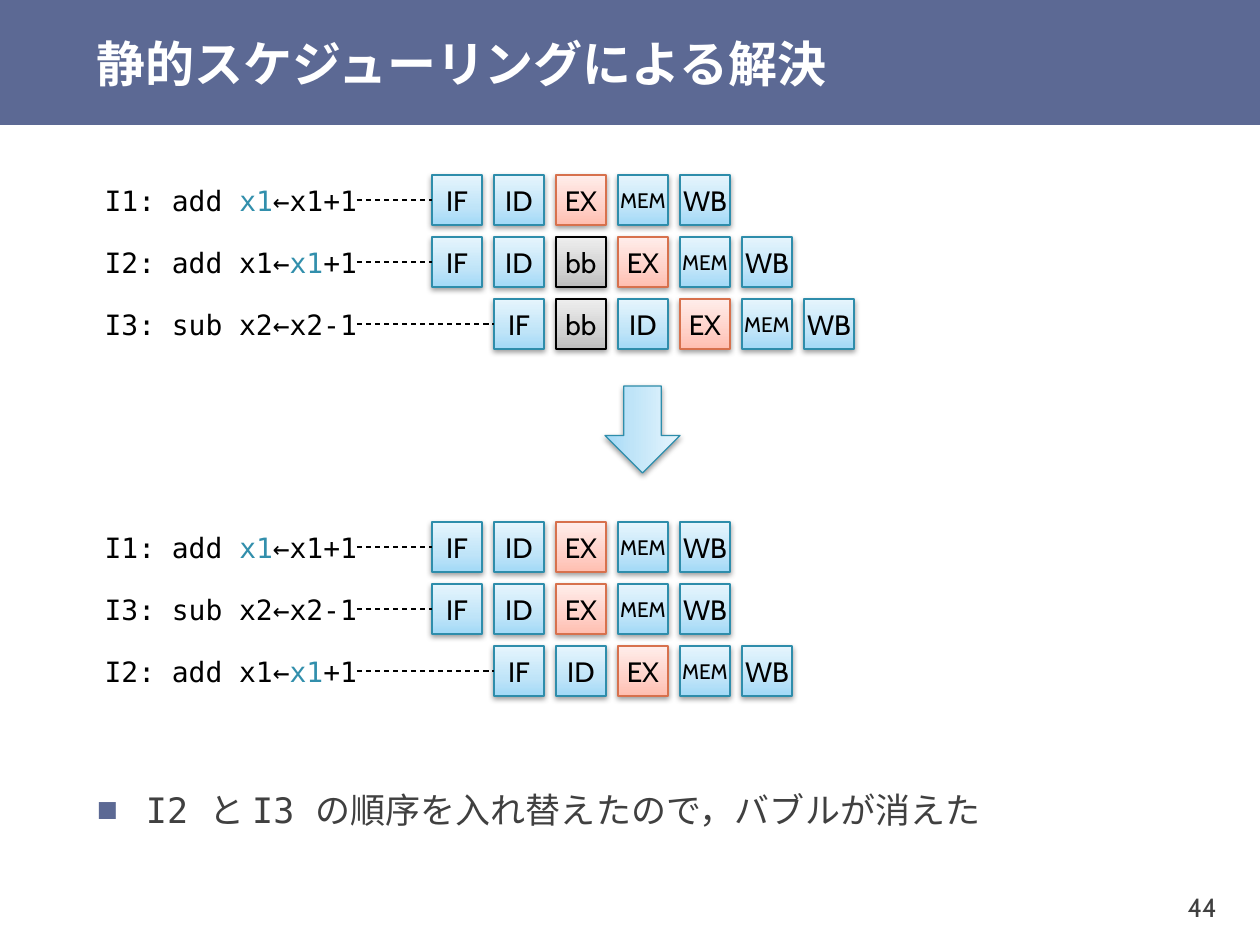
from copy import deepcopy

from pptx import Presentation
from pptx.dml.color import RGBColor
from pptx.enum.dml import MSO_LINE
from pptx.enum.shapes import MSO_CONNECTOR, MSO_SHAPE
from pptx.enum.text import MSO_ANCHOR, MSO_AUTO_SIZE, PP_ALIGN
from pptx.oxml import parse_xml
from pptx.oxml.ns import nsdecls, qn
from pptx.util import Pt

SCALE = 914400 / 126  # EMU per px
SANS, MONO = "Cabin", "DejaVu Sans Mono"

COLORS = {
    "band": "5C6994", "text": "404040", "black": "000000",
    "white": "FFFFFF", "register": "328FAC",
    "blue_line": "2E8DAB", "red_line": "D7714D",
}
# Gradient stops at 0, 35 and 100 percent, and the outline
STYLES = {
    "blue": (("A2D9F7", "BFE4F8", "E6F5FD"), "blue_line"),
    "red": (("FFBEB0", "FFD0C7", "FFEDEA"), "red_line"),
    "gray": (("BDBDBD", "D1D1D1", "EEEEEE"), "black"),
}
STAGE_STYLES = {"EX": "red", "bb": "gray"}

# Instruction grid
BOX, PITCH = 50, 62
GRID_X, LABEL_X, LABEL_W = 432, 258, 99
INSTRUCTIONS = {
    "I1": [("I1: add ", "black"), ("x1", "register"), ("←x1+1", "black")],
    "I2": [("I2: add x1←", "black"), ("x1", "register"), ("+1", "black")],
    "I3": [("I3: sub x2←x2-1", "black")],
}
# Instruction, first cycle, stages
BEFORE = [
    ("I1", 0, "IF ID EX MEM WB"),
    ("I2", 0, "IF ID bb EX MEM WB"),
    ("I3", 1, "IF bb ID EX MEM WB"),
]
AFTER = [
    ("I1", 0, "IF ID EX MEM WB"),
    ("I3", 0, "IF ID EX MEM WB"),
    ("I2", 1, "IF ID EX MEM WB"),
]


def px(n):
    return round(n * SCALE)


def rgb(name):
    return RGBColor.from_string(COLORS[name])


def set_attrs(obj, values):
    for name, value in values.items():
        setattr(obj, name, value)


def place(sp, x, y, w, h):
    set_attrs(sp, {"left": px(x), "top": px(y), "width": px(w), "height": px(h)})


def set_frame(sp, mx, my, wrap=False):
    set_attrs(sp.text_frame, {
        "auto_size": MSO_AUTO_SIZE.NONE, "word_wrap": wrap,
        "vertical_anchor": MSO_ANCHOR.MIDDLE,
        "margin_left": px(mx), "margin_right": px(mx),
        "margin_top": px(my), "margin_bottom": px(my),
    })


def write(sp, runs, size, align, bold=False):
    """Fill the first paragraph with (text, colour, font) runs."""
    p = sp.text_frame.paragraphs[0]
    p.alignment = align
    for text, color, font in runs:
        r = p.add_run()
        r.text = text
        set_attrs(r.font, {"name": font, "size": Pt(size), "bold": bold})
        r.font.color.rgb = rgb(color)
    return p


def add_text(s, box, runs, size, mx=0, my=0):
    sp = s.shapes.add_textbox(*map(px, box))
    set_frame(sp, mx, my)
    write(sp, runs, size, PP_ALIGN.RIGHT)
    return sp


def add_glossy(s, kind, box, style):
    """Shape with a three-stop gradient, thin outline and soft shadow."""
    stops, line = STYLES[style]
    sp = s.shapes.add_shape(kind, *map(px, box))
    sp.line.color.rgb = rgb(line)
    sp.line.width = Pt(0.75)
    sp.fill.gradient()
    sp.fill.gradient_angle = 90
    gs_list = sp._element.spPr.find(".//" + qn("a:gsLst"))
    gs_list.append(deepcopy(gs_list[0]))
    for stop, pos, color in zip(sp.fill.gradient_stops, (0, 0.35, 1), stops):
        stop.position = pos
        stop.color.rgb = RGBColor.from_string(color)
    sp.shadow.inherit = False
    sp._element.spPr.find(qn("a:effectLst")).append(parse_xml(
        f'<a:outerShdw {nsdecls("a")} blurRad="40000" dist="20000" '
        'dir="5400000" rotWithShape="0"><a:srgbClr val="000000">'
        '<a:alpha val="38000"/></a:srgbClr></a:outerShdw>'))
    return sp


def add_stage(s, x, y, name):
    sp = add_glossy(s, MSO_SHAPE.RECTANGLE, (x, y, BOX, BOX),
                    STAGE_STYLES.get(name, "blue"))
    set_frame(sp, 13, 6)
    write(sp, [(name, "black", SANS)], 12 if name == "MEM" else 16,
          PP_ALIGN.CENTER)
    return sp


def add_leader(s, label, stage):
    ln = s.shapes.add_connector(MSO_CONNECTOR.STRAIGHT, 0, 0, 0, 0)
    ln.begin_connect(label, 3)
    ln.end_connect(stage, 1)
    ln.line.color.rgb = rgb("black")
    set_attrs(ln.line, {"width": Pt(0.75), "dash_style": MSO_LINE.DASH})
    ln._element.spPr.append(parse_xml(f'<a:effectLst {nsdecls("a")}/>'))


def add_pipeline(s, top, rows):
    for i, (instruction, start, stages) in enumerate(rows):
        y = top + i * PITCH
        runs = [(text, color, MONO) for text, color in INSTRUCTIONS[instruction]]
        label = add_text(s, (LABEL_X, y, LABEL_W, BOX), runs, 16)
        boxes = [add_stage(s, GRID_X + col * PITCH, y, name)
                 for col, name in enumerate(stages.split(), start)]
        add_leader(s, label, boxes[0])


def add_header(s):
    band = s.shapes.add_shape(MSO_SHAPE.RECTANGLE, 0, 0, px(1260), px(125))
    band.shadow.inherit = False
    band.fill.solid()
    band.fill.fore_color.rgb = rgb("band")
    band.line.fill.background()
    s.shapes._spTree.insert(2, band._element)  # behind the title

    title = s.shapes.title
    place(title, 84, 0, 1176, 125)
    set_frame(title, 13, 0, wrap=True)
    write(title, [("静的スケジューリングによる解決", "white", SANS)], 28,
          PP_ALIGN.LEFT, bold=True)


def add_conclusion(s):
    body = s.placeholders[1]
    place(body, 84, 746, 1142, 123)
    set_frame(body, 13, 6, wrap=True)
    p = write(body, [("I2 ", "text", MONO), ("と ", "text", SANS),
                     ("I3 の順序を入れ替えたので，バブルが消えた", "text", MONO)],
              20, PP_ALIGN.LEFT)
    set_attrs(p, {"line_spacing": 1.1, "space_before": Pt(24),
                  "space_after": Pt(6)})
    pPr = p._p.get_or_add_pPr()
    pPr.set("marL", str(px(49)))
    pPr.set("indent", str(px(-49)))
    pPr.append(parse_xml(f'<a:buClr {nsdecls("a")}>'
                         f'<a:srgbClr val="{COLORS["band"]}"/></a:buClr>'))
    pPr.append(parse_xml(f'<a:buChar {nsdecls("a")} char="■"/>'))


def main():
    prs = Presentation()
    set_attrs(prs, {"slide_width": px(1260), "slide_height": px(945)})
    s = prs.slides.add_slide(prs.slide_layouts[1])

    add_header(s)
    # Schedules before and after reordering
    add_pipeline(s, 175, BEFORE)
    arrow = add_glossy(s, MSO_SHAPE.RIGHT_ARROW, (599, 392, 87, 75), "blue")
    arrow.rotation = 90
    add_pipeline(s, 522, AFTER)
    add_conclusion(s)
    # Page number
    add_text(s, (1126, 869, 100, 76), [("44", "text", SANS)], 15, 9, 5)

    prs.save("out.pptx")


if __name__ == "__main__":
    main()
